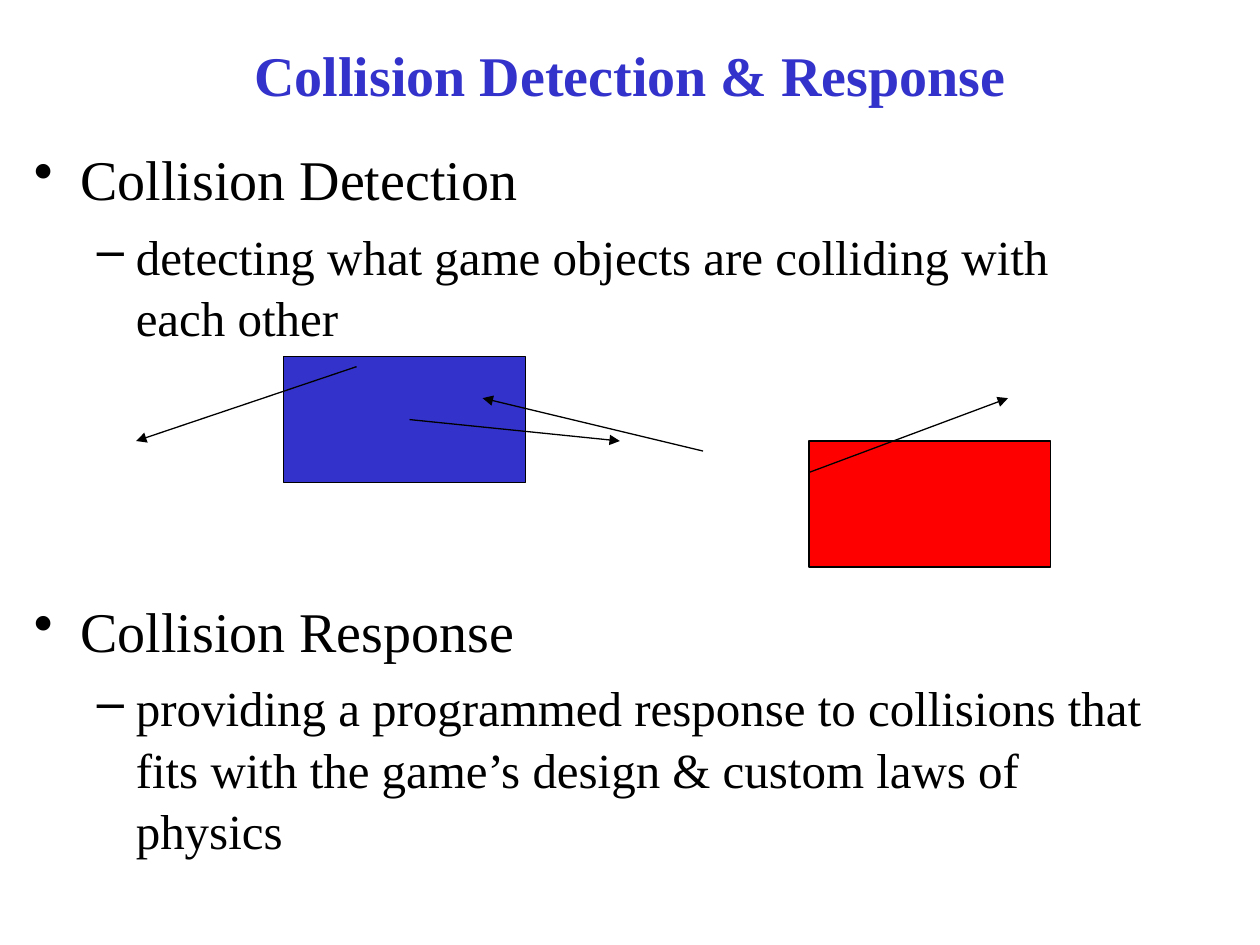
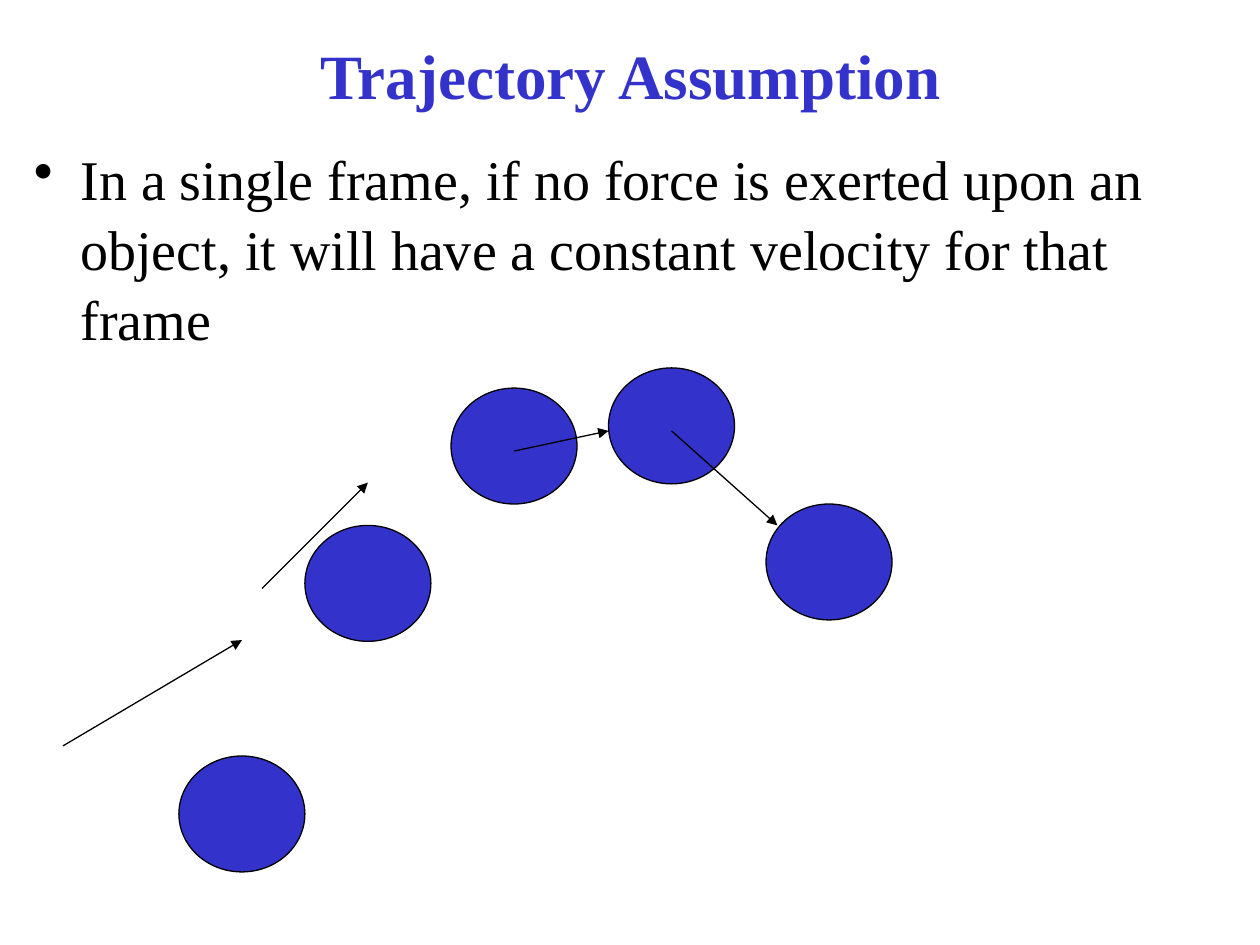
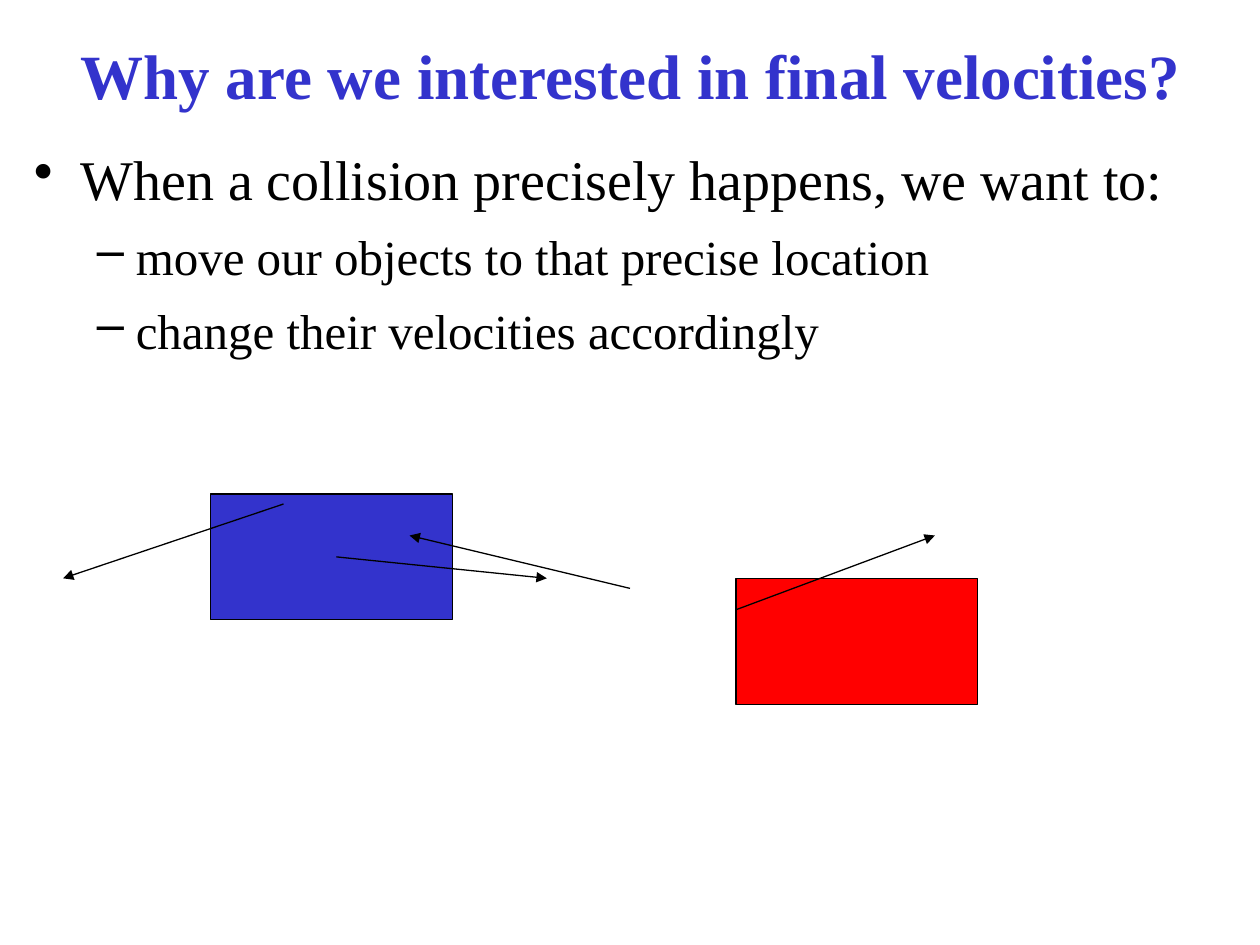
from dataclasses import dataclass

from lxml.etree import SubElement
from pptx import Presentation
from pptx.dml.color import RGBColor
from pptx.enum.shapes import MSO_CONNECTOR, MSO_SHAPE
from pptx.enum.text import MSO_ANCHOR, PP_ALIGN
from pptx.oxml.ns import qn
from pptx.presentation import Presentation as Deck
from pptx.slide import Slide
from pptx.text.text import TextFrame
from pptx.util import Inches, Pt

COLORS = {"blue": "3333CC", "red": "FF0000", "black": "000000"}
FONT = "Times New Roman"
LINE_WIDTH = Pt(0.75)
LINE_SPACING = 1.04
MARGIN = 0.17
FULL_WIDTH = 9.67


@dataclass(frozen=True)
class Level:
    bullet: str
    size: int
    indent: float
    hanging: float
    space_before: int


LEVELS = (Level("•", 32, 0.37, 0.37, 8), Level("–", 28, 0.81, 0.31, 7))


@dataclass(frozen=True)
class Point:
    text: str
    level: int = 0
    extra_space: int = 0


@dataclass(frozen=True)
class Body:
    shape: MSO_SHAPE
    left: float
    top: float
    width: float
    height: float
    color: str = "blue"


@dataclass(frozen=True)
class Velocity:
    start: tuple[float, float]
    end: tuple[float, float]


# Positions are relative to the top left corner of the blue block.
COLLISION_BLOCKS = (
    Body(MSO_SHAPE.RECTANGLE, 0, 0, 1.92, 1),
    Body(MSO_SHAPE.RECTANGLE, 4.17, 0.67, 1.92, 1, "red"),
)
COLLISION_VELOCITIES = (
    Velocity((1, 0.5), (2.67, 0.67)),
    Velocity((3.33, 0.75), (1.58, 0.33)),
    Velocity((0.58, 0.08), (-1.17, 0.67)),
    Velocity((4.17, 0.92), (5.75, 0.33)),
)

BALL_CORNERS = ((1.42, 6), (2.42, 4.17), (6.08, 4), (4.83, 2.92), (3.58, 3.08))
BALLS = tuple(Body(MSO_SHAPE.OVAL, left, top, 1, 0.92) for left, top in BALL_CORNERS)
BALL_VELOCITIES = (
    Velocity((0.5, 5.92), (1.92, 5.08)),
    Velocity((2.08, 4.67), (2.92, 3.83)),
    Velocity((5.33, 3.42), (6.17, 4.17)),
    Velocity((4.08, 3.58), (4.83, 3.42)),
)


def rgb(name: str) -> RGBColor:
    return RGBColor.from_string(COLORS[name])


def add_text_frame(page: Slide, top: float, width: float, height: float) -> TextFrame:
    box = page.shapes.add_textbox(
        Inches(MARGIN), Inches(top), Inches(width), Inches(height)
    )
    box.text_frame.word_wrap = True
    return box.text_frame


def write_paragraph(
    frame: TextFrame,
    text: str,
    *,
    size: int,
    color: str = "black",
    bold: bool = False,
    align: PP_ALIGN = PP_ALIGN.LEFT,
    space_before: int = 0,
    level: Level | None = None,
) -> None:
    """Fill the empty first paragraph, or append one; a level adds its bullet."""
    first = frame.paragraphs[0]
    para = frame.add_paragraph() if first.runs else first
    para.alignment = align
    para.line_spacing = LINE_SPACING
    para.space_before = Pt(space_before)
    span = para.add_run()
    span.text = text
    span.font.name = FONT
    span.font.size = Pt(size)
    span.font.bold = bold
    span.font.color.rgb = rgb(color)
    if level:
        para.level = LEVELS.index(level)
        properties = para._p.get_or_add_pPr()
        properties.set("marL", str(Inches(level.indent)))
        properties.set("indent", str(-Inches(level.hanging)))
        SubElement(properties, qn("a:buChar"), char=level.bullet)


def add_title(page: Slide, text: str, size: int) -> None:
    frame = add_text_frame(page, 0.23, FULL_WIDTH, 0.7)
    frame.vertical_anchor = MSO_ANCHOR.MIDDLE
    write_paragraph(
        frame, text, size=size, color="blue", bold=True, align=PP_ALIGN.CENTER
    )


def add_points(page: Slide, points: tuple[Point, ...], width: float) -> None:
    frame = add_text_frame(page, 1.08, width, 6.25)
    for point in points:
        level = LEVELS[point.level]
        write_paragraph(
            frame,
            point.text,
            size=level.size,
            space_before=level.space_before + point.extra_space,
            level=level,
        )


def add_body(page: Slide, body: Body, left: float, top: float) -> None:
    shape = page.shapes.add_shape(
        body.shape,
        Inches(left + body.left),
        Inches(top + body.top),
        Inches(body.width),
        Inches(body.height),
    )
    shape.shadow.inherit = False
    shape.fill.solid()
    shape.fill.fore_color.rgb = rgb(body.color)
    shape.line.color.rgb = rgb("black")
    shape.line.width = LINE_WIDTH


def add_velocity(page: Slide, velocity: Velocity, left: float, top: float) -> None:
    (start_x, start_y), (end_x, end_y) = velocity.start, velocity.end
    arrow = page.shapes.add_connector(
        MSO_CONNECTOR.STRAIGHT,
        Inches(left + start_x),
        Inches(top + start_y),
        Inches(left + end_x),
        Inches(top + end_y),
    )
    arrow.line.color.rgb = rgb("black")
    arrow.line.width = LINE_WIDTH
    SubElement(arrow.line._get_or_add_ln(), qn("a:tailEnd"), type="triangle")
    SubElement(arrow._element.spPr, qn("a:effectLst"))


def add_motion(
    page: Slide,
    bodies: tuple[Body, ...],
    velocities: tuple[Velocity, ...],
    left: float = 0,
    top: float = 0,
) -> None:
    """Draw bodies with their velocity arrows, all shifted by left and top."""
    for body in bodies:
        add_body(page, body, left, top)
    for velocity in velocities:
        add_velocity(page, velocity, left, top)


def add_page(
    deck: Deck,
    title: str,
    points: tuple[Point, ...],
    *,
    title_size: int = 36,
    width: float = FULL_WIDTH,
) -> Slide:
    page = deck.slides.add_slide(deck.slide_layouts[6])
    add_title(page, title, title_size)
    add_points(page, points, width)
    return page


def main() -> None:
    deck = Presentation()
    deck.slide_width = Inches(10)
    deck.slide_height = Inches(7.5)

    page = add_page(
        deck,
        "Collision Detection & Response",
        (
            Point("Collision Detection"),
            Point("detecting what game objects are colliding with each other", 1),
            Point("Collision Response", extra_space=133),
            Point(
                "providing a programmed response to collisions that fits with "
                "the game’s design & custom laws of physics",
                1,
            ),
        ),
        title_size=32,
        width=9,
    )
    add_motion(page, COLLISION_BLOCKS, COLLISION_VELOCITIES, 2.25, 2.83)

    page = add_page(
        deck,
        "Trajectory Assumption",
        (
            Point(
                "In a single frame, if no force is exerted upon an object, "
                "it will have a constant velocity for that frame"
            ),
        ),
    )
    add_motion(page, BALLS, BALL_VELOCITIES)

    page = add_page(
        deck,
        "Why are we interested in final velocities?",
        (
            Point("When a collision precisely happens, we want to:"),
            Point("move our objects to that precise location", 1),
            Point("change their velocities accordingly", 1),
        ),
    )
    add_motion(page, COLLISION_BLOCKS, COLLISION_VELOCITIES, 1.67, 3.92)

    deck.save("out.pptx")


if __name__ == "__main__":
    main()
